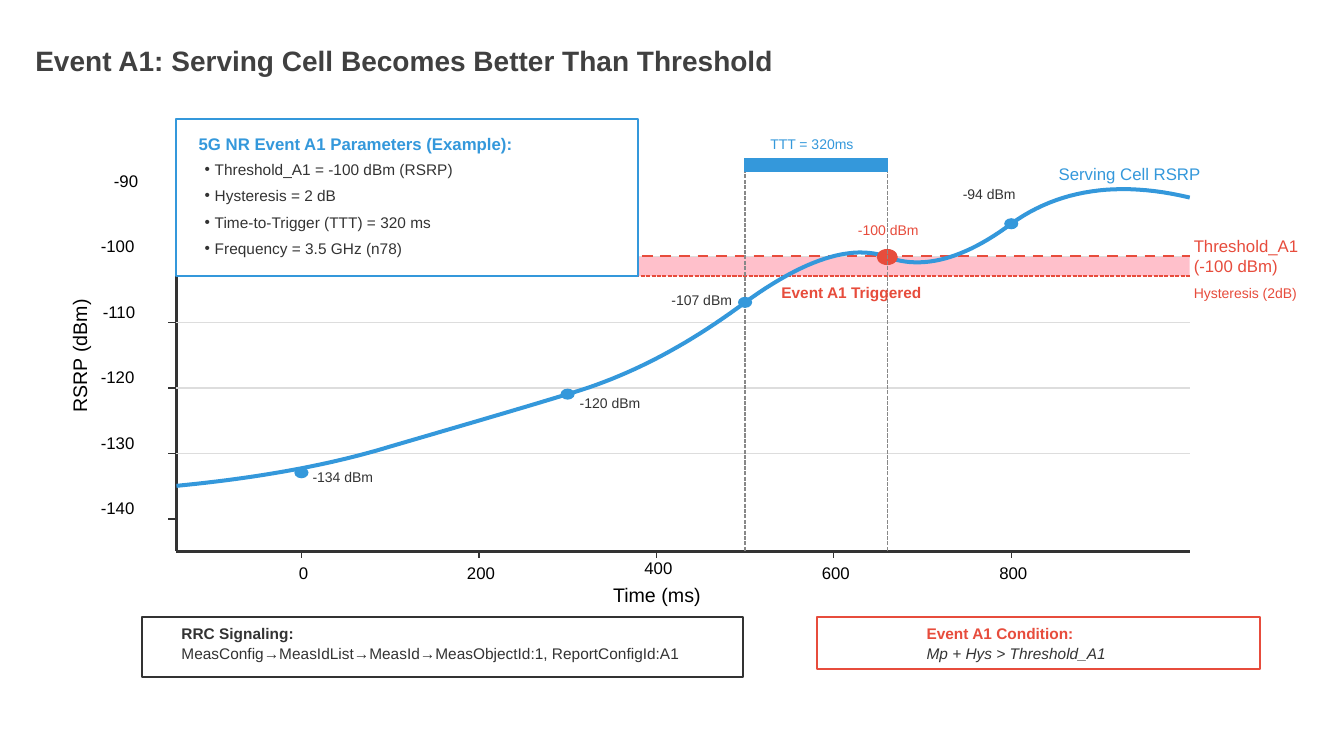
from lxml import etree
from pptx import Presentation
from pptx import util as u
from pptx.dml import color
from pptx.enum import dml, shapes, text
from pptx.oxml import ns

HUES = {"title": "404040", "black": "000000", "ink": "333333", "grid": "DDDDDD",
        "red": "E74C3C", "pink": "FFC0CB", "blue": "3498DB", "gray": "888888",
        "white": "FFFFFF"}
LEFT, RIGHT, TOP, BASE = 1.75, 11.8, 1.57, 5.47
START, END = 7.39, 8.8
CURVE = [(1.75, 4.82), (2.58, 4.74), (3.28, 4.61), (3.87, 4.43),
         (4.45, 4.26), (5.04, 4.09), (5.63, 3.91),
         (6.22, 3.74), (6.8, 3.44), (7.39, 3),
         (7.98, 2.57), (8.45, 2.42), (8.8, 2.55),
         (9.15, 2.68), (9.56, 2.57), (10.03, 2.22),
         (10.5, 1.88), (11.09, 1.79), (11.8, 1.96)]


def time_x(ms):
    return 2.99 + ms * 0.0088


def power_y(dbm):
    return 2.55 - (dbm + 100) * 0.065


def rgb(hue):
    return color.RGBColor.from_string(HUES[hue])


def style(run, size, hue, bold=False, slant=False):
    run.font.name = "Arial"
    run.font.size = u.Pt(size)
    run.font.color.rgb = rgb(hue)
    run.font.bold = bold
    run.font.italic = slant


def trim(frame):
    frame.margin_left = frame.margin_right = 0
    frame.margin_top = frame.margin_bottom = 0
    frame.word_wrap = False
    frame.vertical_anchor = text.MSO_ANCHOR.TOP


def label(slide, words, x, y, wide, size, hue, bold=False):
    box = slide.shapes.add_textbox(u.Inches(x), u.Inches(y), u.Inches(wide),
                                   u.Inches(size / 60))
    trim(box.text_frame)
    box.text_frame.text = words
    for para in box.text_frame.paragraphs:
        for run in para.runs:
            style(run, size, hue, bold)
    return box


def line(slide, x1, y1, x2, y2, hue, width=0.95, dash=None):
    rule = slide.shapes.add_connector(shapes.MSO_CONNECTOR.STRAIGHT, u.Inches(x1),
                                      u.Inches(y1), u.Inches(x2), u.Inches(y2))
    rule.line.color.rgb = rgb(hue)
    rule.line.width = u.Pt(width)
    if dash:
        rule.line.dash_style = dash
    etree.SubElement(rule._element.spPr, ns.qn("a:effectLst"))


def block(slide, kind, x, y, wide, high, fill, edge=None, width=1.43):
    item = slide.shapes.add_shape(kind, u.Inches(x), u.Inches(y),
                                  u.Inches(wide), u.Inches(high))
    item.shadow.inherit = False
    item.fill.solid()
    item.fill.fore_color.rgb = rgb(fill)
    if edge:
        item.line.color.rgb = rgb(edge)
        item.line.width = u.Pt(width)
    else:
        item.line.fill.background()


def rect(slide, *args):
    block(slide, shapes.MSO_SHAPE.RECTANGLE, *args)


def dot(slide, x, y, wide, high, hue):
    block(slide, shapes.MSO_SHAPE.OVAL, x - wide / 2, y - high / 2, wide, high, hue)


def curve(slide):
    points = []
    for i in range(0, len(CURVE) - 1, 3):
        a, b, c, d = CURVE[i:i + 4]
        for step in range(1, 25):
            t = step / 24
            s = 1 - t
            points.append(tuple(
                u.Inches(s**3 * a[k] + 3 * s * s * t * b[k]
                         + 3 * s * t * t * c[k] + t**3 * d[k]) for k in (0, 1)))
    path = slide.shapes.build_freeform(u.Inches(CURVE[0][0]), u.Inches(CURVE[0][1]))
    path.add_line_segments(points, close=False)
    wave = path.convert_to_shape()
    wave.shadow.inherit = False
    wave.fill.background()
    wave.line.color.rgb = rgb("blue")
    wave.line.width = u.Pt(2.85)


def axes(slide):
    line(slide, LEFT, BASE, RIGHT, BASE, "ink", 1.9)
    line(slide, LEFT, TOP, LEFT, BASE, "ink", 1.9)
    label(slide, "Time (ms)", 6.08, 5.78, 0.87, 14, "black")
    label(slide, "RSRP (dBm)", 0.22, 3.41, 1.13, 14, "black").rotation = 270
    for ms in range(0, 801, 200):
        x = time_x(ms)
        line(slide, x, BASE, x, BASE + 0.07, "ink")
        y = 5.53 if ms == 400 else 5.58
        mark = label(slide, str(ms), x - 0.17, y, 0.38, 12, "black")
        mark.text_frame.paragraphs[0].alignment = text.PP_ALIGN.CENTER
    for dbm in range(-90, -141, -10):
        y = power_y(dbm)
        x = {-90: 1.13, -110: 1.02}.get(dbm, 1)
        label(slide, str(dbm), x, y - 0.21, 0.5, 12, "black")
        if dbm < -100:
            line(slide, LEFT - 0.08, y, LEFT, y, "ink")
        if -140 < dbm < -100:
            line(slide, LEFT, y, RIGHT, y, "grid")


def limits(slide):
    y = power_y(-100)
    low = y + 0.19
    line(slide, LEFT, y, RIGHT, y, "grid")
    line(slide, LEFT, y - 0.01, RIGHT, y - 0.01, "red", 1.9, dml.MSO_LINE.DASH)
    label(slide, "Threshold_A1\n(-100 dBm)", 11.84, 2.34, 1.1, 12, "red")
    rect(slide, LEFT, y, RIGHT - LEFT, low - y, "pink")
    line(slide, LEFT, low, RIGHT, low, "red", 0.95, dml.MSO_LINE.SQUARE_DOT)
    label(slide, "Hysteresis (2dB)", 11.84, 2.82, 1.1, 10, "red")


def signal(slide):
    curve(slide)
    label(slide, "Serving Cell RSRP", 10.5, 1.62, 1.5, 12, "blue")
    dot(slide, END, power_y(-100), 0.21, 0.16, "red")
    for x in (START, END):
        line(slide, x, TOP, x, BASE, "gray", 0.95, dml.MSO_LINE.SQUARE_DOT)
    rect(slide, START, TOP, END - START, 0.13, "blue", "blue", 0.95)
    label(slide, "TTT = 320ms", 7.64, 1.34, 0.9, 10, "blue")
    for words, x, y, left, top in (("-134 dBm", 2.99, 4.69, 3.1, 4.65),
                                   ("-120 dBm", 5.63, 3.91, 5.75, 3.91),
                                   ("-107 dBm", 7.39, 3, 6.66, 2.89),
                                   ("-94 dBm", 10.03, 2.22, 9.55, 1.84)):
        dot(slide, x, y, 0.14, 0.11, "blue")
        label(slide, words, left, top, 0.7, 10, "ink")
    label(slide, "-100 dBm", 8.51, 2.2, 0.7, 10, "red")
    label(slide, "Event A1 Triggered", 7.75, 2.81, 1.5, 11, "red", True)


def params(slide):
    rect(slide, LEFT, 1.18, 4.58, 1.56, "white", "blue")
    label(slide, "5G NR Event A1 Parameters (Example):", 1.97, 1.33, 3.3, 12,
          "blue", True)
    items = ("Threshold_A1 = -100 dBm (RSRP)", "Hysteresis = 2 dB",
             "Time-to-Trigger (TTT) = 320 ms", "Frequency = 3.5 GHz (n78)")
    box = label(slide, "\n".join(items), 2.03, 1.59, 2.7, 11, "ink")
    for i, para in enumerate(box.text_frame.paragraphs):
        props = para._p.get_or_add_pPr()
        props.set("marL", str(u.Inches(0.1)))
        props.set("indent", str(u.Inches(-0.1)))
        etree.SubElement(props, ns.qn("a:buFont")).set("typeface", "Arial")
        etree.SubElement(props, ns.qn("a:buChar")).set("char", "•")
        if i:
            para.space_before = u.Pt(5.5)


def note(slide, frame, edge, x, wide, head, body, slant=False):
    rect(slide, *frame, "white", edge)
    box = label(slide, f"{head}\n{body}", x, 6.19, wide, 11, "ink")
    first, last = box.text_frame.paragraphs
    style(first.runs[0], 11, edge, bold=True)
    style(last.runs[0], 11, "ink", slant=slant)
    last.space_before = u.Pt(1.3)


def main():
    deck = Presentation()
    deck.slide_width, deck.slide_height = u.Inches(13.33), u.Inches(7.5)
    slide = deck.slides.add_slide(deck.slide_layouts[5])
    title = slide.shapes.title
    title.left, title.top = u.Inches(0.35), u.Inches(0.43)
    title.width, title.height = u.Inches(7.5), u.Inches(0.34)
    trim(title.text_frame)
    title.text_frame.text = "Event A1: Serving Cell Becomes Better Than Threshold"
    title.text_frame.paragraphs[0].alignment = text.PP_ALIGN.LEFT
    style(title.text_frame.paragraphs[0].runs[0], 20, "title", True)
    axes(slide)
    limits(slide)
    signal(slide)
    params(slide)
    note(slide, (8.1, 6.12, 4.4, 0.52), "red", 9.19, 1.9,
         "Event A1 Condition:", "Mp + Hys > Threshold_A1", True)
    note(slide, (1.41, 6.12, 5.96, 0.6), "ink", 1.8, 5.1, "RRC Signaling:",
         "MeasConfig→MeasIdList→MeasId→MeasObjectId:1, ReportConfigId:A1")
    deck.save("out.pptx")


if __name__ == "__main__":
    main()
